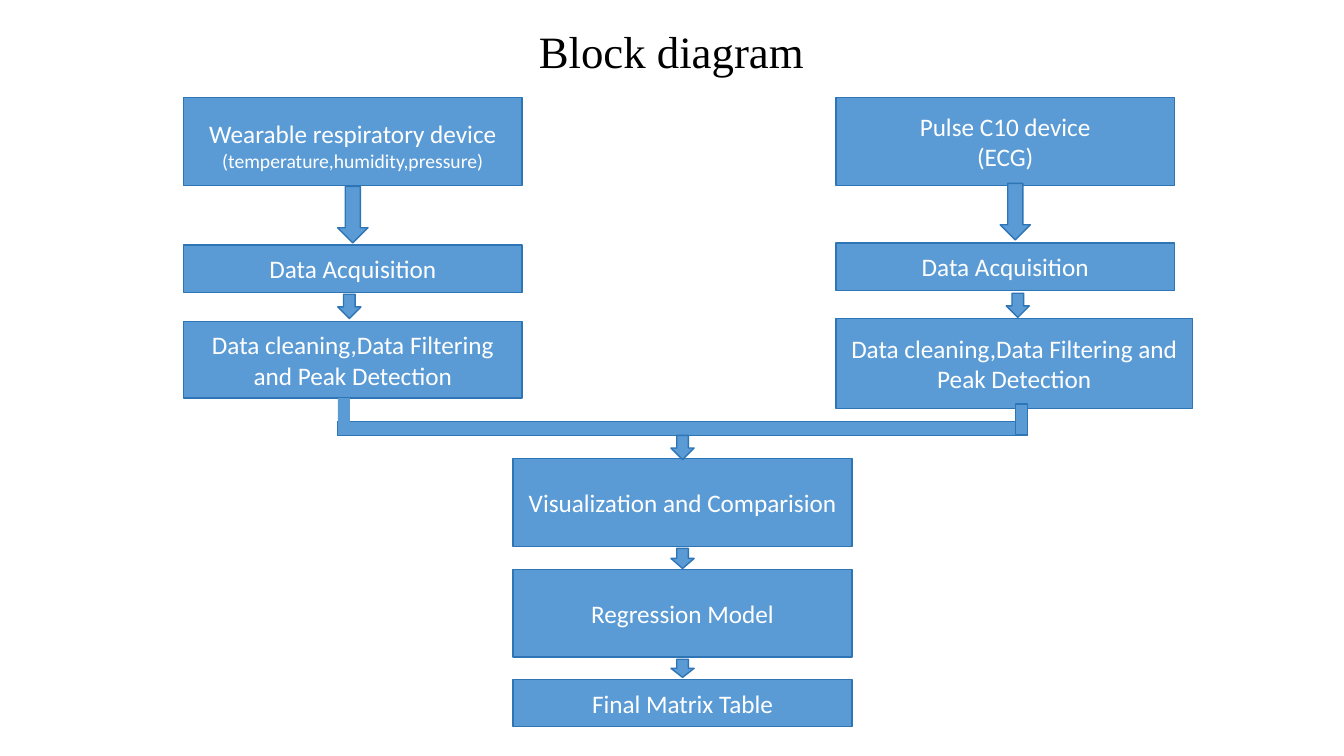
import dataclasses

import pptx
import pptx.dml.color
import pptx.enum.shapes
import pptx.enum.text
import pptx.util

Inches = pptx.util.Inches
Pt = pptx.util.Pt
RGB = pptx.dml.color.RGBColor
RECTANGLE = pptx.enum.shapes.MSO_SHAPE.RECTANGLE
DOWN_ARROW = pptx.enum.shapes.MSO_SHAPE.DOWN_ARROW


@dataclasses.dataclass(frozen=True)
class Theme:
    """Colours, fonts and type sizes of the slide."""

    fill: RGB = RGB(0x5B, 0x9B, 0xD5)
    outline: RGB = RGB(0x2E, 0x75, 0xB6)
    block_text: RGB = RGB(0xFF, 0xFF, 0xFF)
    title_text: RGB = RGB(0, 0, 0)
    block_font: str = "Calibri"
    title_font: str = "Times New Roman"
    title_size: int = 32
    block_size: int = 18
    detail_size: int = 14


THEME = Theme()
BLOCK_WIDTH = 3.36
TALL, SHORT = 0.87, 0.47
SMALL_ARROW = 0.23
LARGE_ARROW = 0.3


def write_line(paragraph, text, size, font_name, color):
    """Write one centred line as a single run."""
    paragraph.alignment = pptx.enum.text.PP_ALIGN.CENTER
    run = paragraph.add_run()
    run.text = text
    run.font.size = Pt(size)
    run.font.name = font_name
    run.font.color.rgb = color


def add_part(slide, kind, left, top, width, height, outlined=True):
    """Add a filled shape in the diagram style."""
    part = slide.shapes.add_shape(
        kind, Inches(left), Inches(top), Inches(width), Inches(height))
    part.shadow.inherit = False
    part.fill.solid()
    part.fill.fore_color.rgb = THEME.fill
    if outlined:
        part.line.color.rgb = THEME.outline
        part.line.width = Pt(1)
    else:
        part.line.fill.background()
    return part


def add_block(slide, left, top, width, height, lines, top_inset=0.05):
    """Add a step of the diagram with its (text, size) lines."""
    frame = add_part(slide, RECTANGLE, left, top, width, height).text_frame
    frame.word_wrap = True
    frame.vertical_anchor = pptx.enum.text.MSO_ANCHOR.MIDDLE
    frame.margin_top = Inches(top_inset)
    for index, (text, size) in enumerate(lines):
        paragraph = frame.add_paragraph() if index else frame.paragraphs[0]
        write_line(paragraph, text, size, THEME.block_font, THEME.block_text)


def add_title(slide, left, top, width, height):
    """Place the slide title in its box."""
    frame = slide.shapes.add_textbox(
        Inches(left), Inches(top), Inches(width), Inches(height)).text_frame
    frame.word_wrap = True
    write_line(frame.paragraphs[0], "Block diagram", THEME.title_size,
               THEME.title_font, THEME.title_text)


def add_branch(slide, left, top, device, device_inset, acquisition_top,
               cleaning_box, arrows):
    """Place a device, its acquisition and its cleaning step down a column."""
    cleaning_top, cleaning_width, cleaning_height = cleaning_box
    add_block(slide, left, top, BLOCK_WIDTH, TALL, device, device_inset)
    add_block(slide, left, top + acquisition_top, BLOCK_WIDTH, SHORT,
              [("Data Acquisition", THEME.block_size)])
    add_block(slide, left, top + cleaning_top, cleaning_width, cleaning_height,
              [("Data cleaning,Data Filtering and Peak Detection", THEME.block_size)])
    for arrow_left, arrow_top, width, height in arrows:
        add_part(slide, DOWN_ARROW, left + arrow_left, top + arrow_top, width, height)


def add_junction(slide, left, top, width):
    """Join both branches with a bar and two stubs."""
    stub_width, stub_height = 0.12, 0.3
    add_part(slide, RECTANGLE, left, top + 0.23, width, 0.14)
    add_part(slide, RECTANGLE, left, top, stub_width, stub_height, outlined=False)
    add_part(slide, RECTANGLE, left + width - stub_width, top + 0.06,
             stub_width, stub_height)


def add_outcome(slide, left, top):
    """Stack the shared steps, each below its arrow."""
    steps = [
        ("Visualization and Comparision", 0.23, TALL, 0, 0.24),
        ("Regression Model", 1.33, TALL, 1.12, 0.2),
        ("Final Matrix Table", 2.42, SHORT, 2.22, 0.18),
    ]
    arrow_left = left + (BLOCK_WIDTH - SMALL_ARROW) / 2
    for text, step_top, height, arrow_top, arrow_height in steps:
        add_block(slide, left, top + step_top, BLOCK_WIDTH, height,
                  [(text, THEME.block_size)])
        add_part(slide, DOWN_ARROW, arrow_left, top + arrow_top,
                 SMALL_ARROW, arrow_height)


def main():
    """Build the slide and save it."""
    presentation = pptx.Presentation()
    presentation.slide_width = Inches(13.33)
    presentation.slide_height = Inches(7.5)
    slide = presentation.slides.add_slide(presentation.slide_layouts[6])

    wearable = [("Wearable respiratory device", THEME.block_size),
                ("(temperature,humidity,pressure)", THEME.detail_size)]
    heart_monitor = [("Pulse C10 device", THEME.block_size),
                     ("(ECG)", THEME.block_size)]
    add_title(slide, 4.44, 0.19, 4.44, 0.64)
    add_branch(slide, 1.82, 0.97, wearable, 0.12, 1.46, (2.22, BLOCK_WIDTH, 0.76),
               [(1.53, 0.88, LARGE_ARROW, 0.56), (1.53, 1.95, SMALL_ARROW, 0.24)])
    add_branch(slide, 8.29, 0.97, heart_monitor, 0.05, 1.44, (2.19, 3.54, 0.89),
               [(1.63, 0.85, LARGE_ARROW, 0.56), (1.69, 1.94, SMALL_ARROW, 0.24)])
    add_junction(slide, 3.35, 3.95, 6.84)
    add_outcome(slide, 5.09, 4.32)
    presentation.save("out.pptx")


if __name__ == "__main__":
    main()
